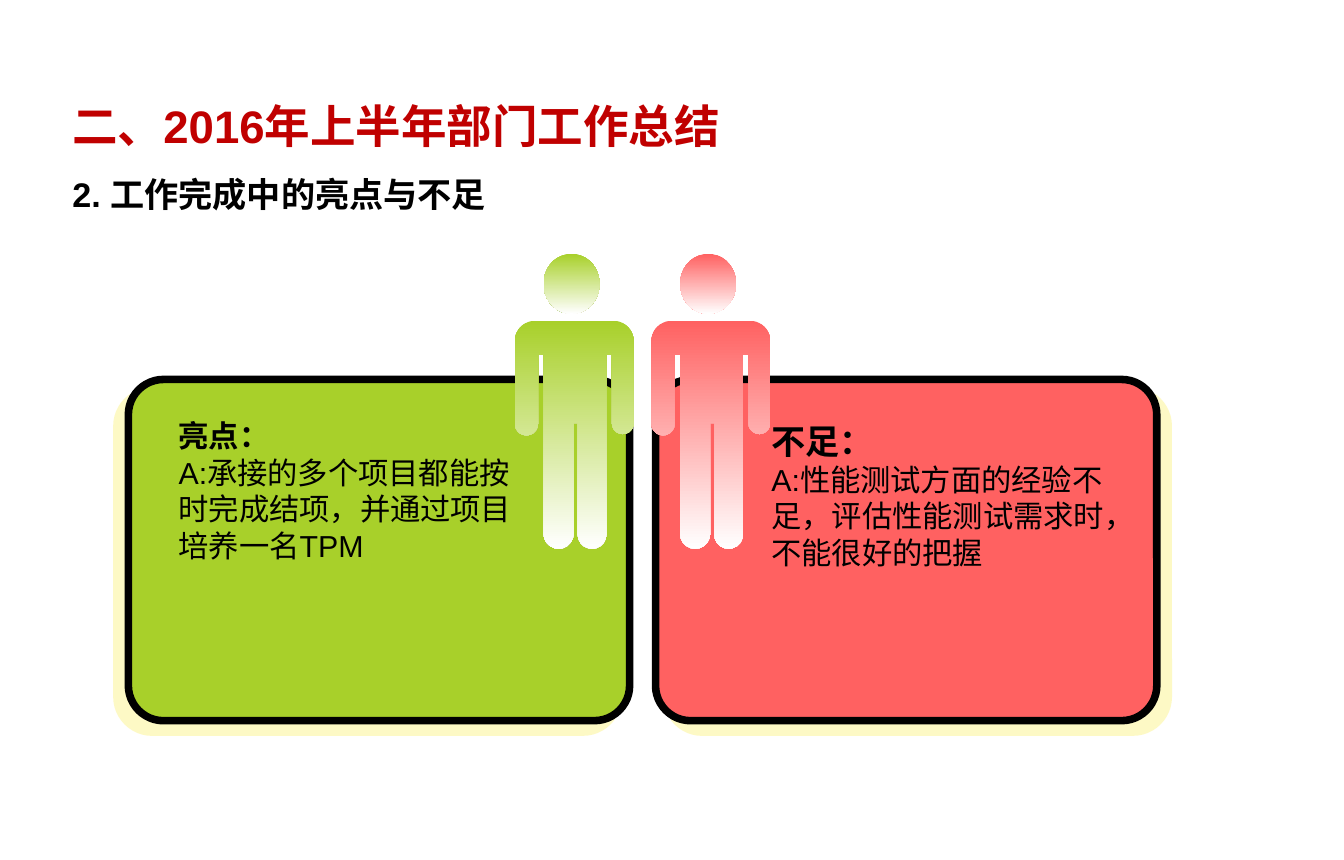
from math import cos, sin, radians

from lxml.etree import SubElement
from pptx import Presentation
from pptx.dml.color import RGBColor
from pptx.enum.shapes import MSO_SHAPE as Shape
from pptx.enum.text import MSO_ANCHOR as Anchor, MSO_AUTO_SIZE as AutoSize, PP_ALIGN as Align
from pptx.oxml.ns import qn
from pptx.util import Inches, Pt

BLACK, WHITE, DARK_RED = "000000", "FFFFFF", "C00000"
GREEN, RED, YELLOW = "A8D02A", "FF6161", "FDF58D"
CARD_TOP, CARD_W, CARD_H = 27.8, 36.7, 25


def grid(*cells):
    """Turn columns or rows of a 0.1 inch grid into lengths."""
    return [Inches(c / 10) for c in cells]


def rgb(color):
    return RGBColor.from_string(color)


def add_text(tf, text, size=16, color=BLACK, bold=False, spacing=1.0):
    """Write one paragraph; the first fills the frame's empty paragraph."""
    p = tf.add_paragraph() if tf.text else tf.paragraphs[0]
    p.alignment, p.line_spacing = Align.LEFT, spacing
    r = p.add_run()
    r.text = text
    r.font.name, r.font.size, r.font.bold = "Arial", Pt(size), bold
    r.font.color.rgb = rgb(color)


def set_frame(sp):
    tf = sp.text_frame
    tf.word_wrap = True
    tf.vertical_anchor = Anchor.TOP
    tf.auto_size = AutoSize.SHAPE_TO_FIT_TEXT
    return tf


def add_shadow(sp, color, angle):
    sp.shadow.inherit = False
    effects = sp._element.spPr.find(qn("a:effectLst"))
    shadow = SubElement(effects, qn("a:outerShdw"), dist=str(Pt(8.5)),
                        dir=str(angle * 60000), algn="ctr", rotWithShape="0")
    clr = SubElement(shadow, qn("a:srgbClr"), val=color)
    SubElement(clr, qn("a:alpha"), val="50000")


def add_card(shapes, left, color, shadow_angle):
    sp = shapes.add_shape(Shape.ROUNDED_RECTANGLE, *grid(left, CARD_TOP, CARD_W, CARD_H))
    sp.adjustments[0] = 0.103
    sp.fill.solid()
    sp.fill.fore_color.rgb = rgb(color)
    sp.line.color.rgb = rgb(BLACK)
    sp.line.width = Pt(4)
    add_shadow(sp, YELLOW, shadow_angle)


def arc(cx, cy, rx, ry, start, end, steps=10):
    angles = [radians(start + (end - start) * i / steps) for i in range(steps + 1)]
    return [(cx + rx * cos(a), cy + ry * sin(a)) for a in angles]


def round_end(left, right, bottom):
    """Half-round lower end of an arm or a leg, from left to right."""
    radius = (right - left) / 2
    return arc(left + radius, bottom - radius, radius, radius, 180, 0)


def add_outline(shapes, left, top, points, color):
    points = [tuple(grid(left + x, top + y)) for x, y in points]
    builder = shapes.build_freeform(*points[0], scale=1.0)
    builder.add_line_segments(points[1:], close=True)
    sp = builder.convert_to_shape()
    sp.shadow.inherit = False
    sp.line.fill.background()
    sp.fill.gradient()
    sp.fill.gradient_angle = 270
    for stop, stop_color in zip(sp.fill.gradient_stops, (color, WHITE)):
        stop.color.rgb = rgb(stop_color)


def add_person(shapes, left, color):
    head = arc(4.15, 2.2, 2.05, 2.2, 0, 360, 36)
    body = (arc(1.5, 1.5, 1.5, 1.5, -90, -180)                  # left shoulder
            + round_end(0, 1.7, 8.4) + [(1.7, 2.5), (2.1, 2.5)]     # left arm
            + round_end(2.1, 4.3, 16.7) + [(4.3, 7.5), (4.6, 7.5)]  # left leg
            + round_end(4.6, 6.7, 16.7) + [(6.7, 2.5), (7.1, 2.5)]  # right leg
            + round_end(7.1, 8.7, 8.3)                          # right arm
            + arc(7.2, 1.5, 1.5, 1.5, 0, -90))                  # right shoulder
    add_outline(shapes, left, 18.6, head, color)
    add_outline(shapes, left, 23.5, body, color)


def add_panel(s, card_left, person_left, color, shadow_angle, box, heading, size, text):
    """Group one card with its person and its text."""
    shapes = s.shapes.add_group_shape().shapes
    add_card(shapes, card_left, color, shadow_angle)
    add_person(shapes, person_left, color)
    tf = set_frame(shapes.add_textbox(*grid(*box)))
    add_text(tf, heading, size=size, bold=True)
    add_text(tf, text)


def main():
    prs = Presentation()
    prs.slide_width, prs.slide_height = grid(98.4, 63)
    s = prs.slides.add_slide(prs.slide_layouts[5])

    # Title and subtitle
    title = s.shapes.title
    title.left, title.top, title.width, title.height = grid(4.3, 4.7, 89.8, 11.6)
    tf = set_frame(title)
    add_text(tf, "二、2016年上半年部门工作总结", size=24, color=DARK_RED, bold=True, spacing=1.5)
    add_text(tf, "2. 工作完成中的亮点与不足", size=18, bold=True, spacing=1.5)

    # Strengths and weaknesses
    add_panel(s, 9.4, 37.7, GREEN, 135, (12.1, 30.1, 26.7, 11.8), "亮点：", 16,
              "A:承接的多个项目都能按时完成结项，并通过项目培养一名TPM")
    add_panel(s, 48, 47.7, RED, 45, (55.5, 30.3, 28.3, 12.1), "不足：", 18,
              "A:性能测试方面的经验不足，评估性能测试需求时，不能很好的把握")

    prs.save("out.pptx")


main()
